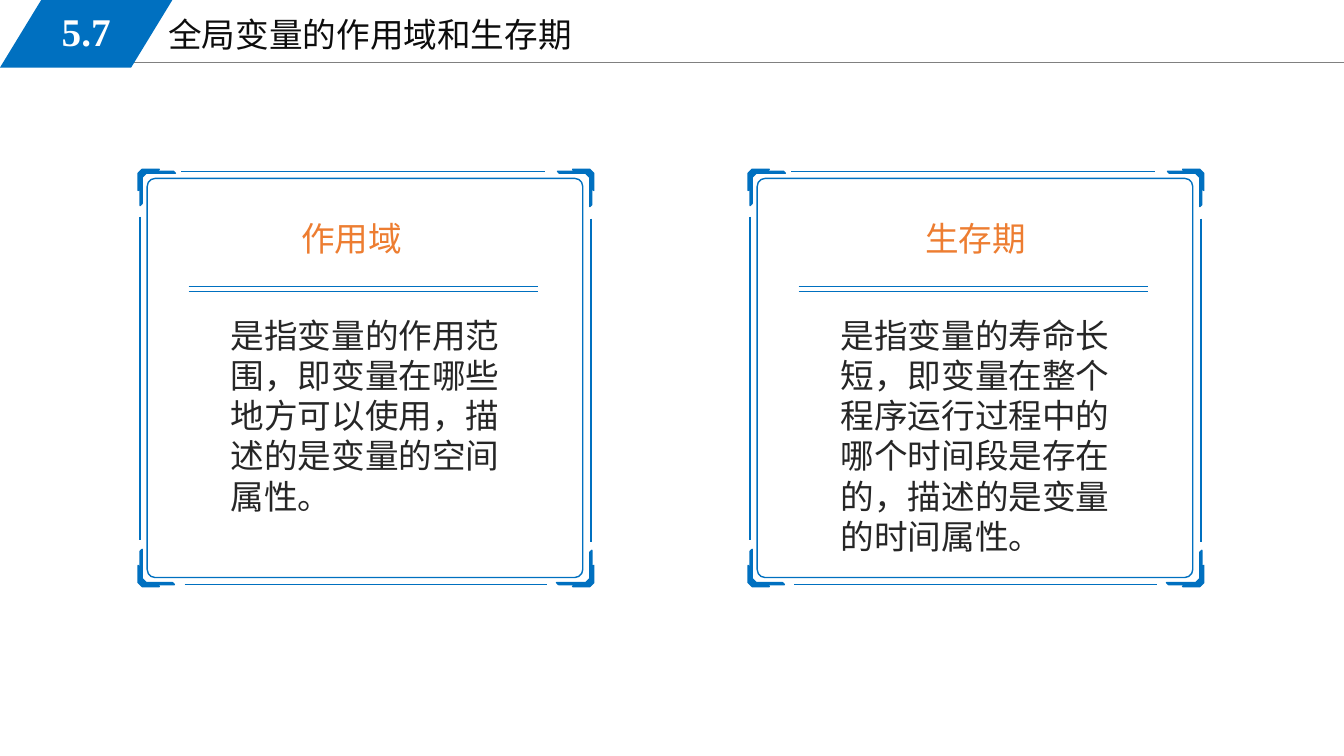
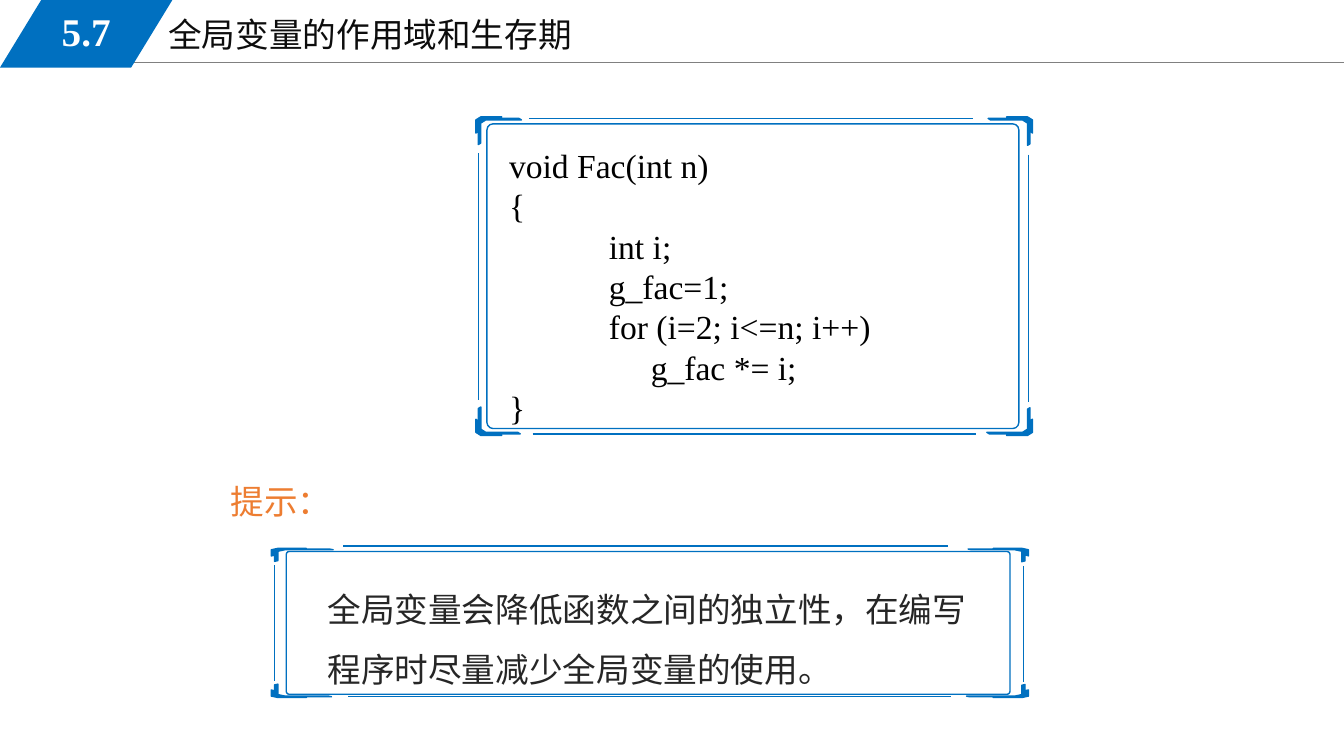
from lxml import etree
from pptx import Presentation
from pptx.dml.color import RGBColor
from pptx.enum.lang import MSO_LANGUAGE_ID
from pptx.enum.shapes import MSO_CONNECTOR, MSO_SHAPE
from pptx.enum.text import MSO_ANCHOR, MSO_AUTO_SIZE, PP_ALIGN
from pptx.oxml.ns import qn
from pptx.util import Emu, Pt

PX = 9144  # 100 px to the inch
FONT = "Times New Roman"
COLORS = {
    "blue": "0070C0", "orange": "ED7D31", "gray": "808080", "white": "FFFFFF",
    "title": "0D0D0D", "body": "262626", "code": "000000",
}

# Frame design grid; every frame is this one stretched to its own size
FRAME_W, FRAME_H = 452, 414
CORNER = [(4, 0), (11, 0), (21, 0), (18, 2), (35, 2), (37, 4), (8, 4),
          (4, 8), (4, 34), (2, 36), (2, 19), (0, 21), (0, 7), (0, 4)]

CODE = """void Fac(int n)
{
\t\tint i;
\t\tg_fac=1;
\t\tfor (i=2; i<=n; i++)
\t\t     g_fac *= i;
}"""


def px(n):
    return Emu(round(n * PX))


def rgb(name):
    return RGBColor.from_string(COLORS[name])


class Deck:
    def __init__(self, width, height):
        self.prs = Presentation()
        self.prs.slide_width, self.prs.slide_height = px(width), px(height)
        self.layout = self.prs.slide_layouts.get_by_name("Title Only")
        for ph in list(self.layout.placeholders)[1:]:
            ph.element.getparent().remove(ph.element)
        self.slide = None

    def new_slide(self, title):
        self.slide = self.prs.slides.add_slide(self.layout)
        sp = self.slide.shapes.title
        sp.left, sp.top, sp.width, sp.height = map(px, (156, 9, 567, 51))
        self.set_text(sp, title, "title", margins=(11, 5))

    def section_band(self, number, width):
        """Draw the header band and hand it to the layout all slides use."""
        shapes = self.slide.shapes
        rule = self.line(shapes, 113, 62, width, 62, "gray", 0.75)
        band = shapes.add_shape(MSO_SHAPE.PARALLELOGRAM, 0, 0, px(171), px(67))
        band.adjustments[0] = 0.61
        self.paint(band, fill="blue")
        label = self.text(25, 2, 121, 58, number, "white", size=28, bold=True,
                          align=PP_ALIGN.CENTER, anchor=MSO_ANCHOR.MIDDLE, margins=(11, 5))
        for sp in (rule, band, label):
            self.layout.shapes.element.append(sp.element)

    def paint(self, sp, fill=None, line=None):
        sp.shadow.inherit = False
        if fill:
            sp.fill.solid()
            sp.fill.fore_color.rgb = rgb(fill)
        else:
            sp.fill.background()
        if line:
            sp.line.color.rgb = rgb(line)
            sp.line.width = Pt(1)
        else:
            sp.line.fill.background()

    def line(self, shapes, x1, y1, x2, y2, color="blue", weight=1):
        c = shapes.add_connector(MSO_CONNECTOR.STRAIGHT, px(x1), px(y1), px(x2), px(y2))
        c.line.color.rgb = rgb(color)
        c.line.width = Pt(weight)
        etree.SubElement(c.element.spPr, qn("a:effectLst"))
        return c

    def set_text(self, sp, text, color, size=24, bold=False, align=PP_ALIGN.LEFT,
                 anchor=MSO_ANCHOR.TOP, margins=(10, 5), spacing=None, indent=0):
        tf = sp.text_frame
        tf.text = text
        tf.word_wrap = True
        tf.auto_size = MSO_AUTO_SIZE.NONE
        tf.vertical_anchor = anchor
        tf.margin_left = tf.margin_right = px(margins[0])
        tf.margin_top = tf.margin_bottom = px(margins[1])
        for p in tf.paragraphs:
            p.alignment = align
            if spacing:
                p.line_spacing = spacing
            if indent:
                pPr = p._p.get_or_add_pPr()
                pPr.set("marL", "0")
                pPr.set("indent", str(px(indent)))
            for r in p.runs:
                r.font.name, r.font.size, r.font.bold = FONT, Pt(size), bold
                r.font.color.rgb = rgb(color)
                r.font.language_id = MSO_LANGUAGE_ID.SIMPLIFIED_CHINESE

    def text(self, x, y, w, h, text, color, **style):
        sp = self.slide.shapes.add_textbox(px(x), px(y), px(w), px(h))
        self.set_text(sp, text, color, **style)
        return sp

    def frame(self, x, y, w, h, top=2):
        """Rounded box with four corner marks and four edge lines."""
        shapes = self.slide.shapes.add_group_shape().shapes

        def at(u, v):
            return x + u * w / FRAME_W, y + v * h / FRAME_H

        # Inner box
        box = shapes.add_shape(MSO_SHAPE.ROUNDED_RECTANGLE, *map(px, at(9, 9)),
                               px(432 * w / FRAME_W), px(396 * h / FRAME_H))
        box.adjustments[0] = 0.02
        self.paint(box, line="blue")

        # Corner marks, mirrored; two of them have their axes swapped
        for right in (False, True):
            for bottom in (False, True):
                pts = []
                for u, v in CORNER:
                    if right != bottom:
                        u, v = v, u
                    u = FRAME_W - u if right else u
                    v = FRAME_H - v if bottom else v
                    pts.append(tuple(map(px, at(u, v))))
                fb = shapes.build_freeform(*pts[0])
                fb.add_line_segments(pts[1:], close=True)
                self.paint(fb.convert_to_shape(), fill="blue", line="blue")

        # Edge lines
        for start, end in (((43, top), (404, top)), ((46, 412), (406, 412)),
                           ((2, 47), (2, 368)), ((449, 49), (449, 370))):
            self.line(shapes, *at(*start), *at(*end))

    def card(self, x, heading_x, heading, body):
        self.frame(x, 168, FRAME_W, FRAME_H)
        self.text(heading_x, 211, 303, 50, heading, "orange")
        for y in (284, 289):
            self.line(self.slide.shapes, x + 50, y, x + 397, y)
        self.text(x + 82, 307, 300, 252, body, "body")


def main():
    width = 1333
    title = "全局变量的作用域和生存期"
    deck = Deck(width, 750)

    # Scope and lifetime cards
    deck.new_slide(title)
    deck.section_band("5.7", width)
    deck.card(137, 289, "作用域",
              "是指变量的作用范围，即变量在哪些地方可以使用，描述的是变量的空间属性。")
    deck.card(742, 908, "生存期",
              "是指变量的寿命长短，即变量在整个程序运行过程中的哪个时间段是存在的，描述的是变量的时间属性。")

    # Code sample and hint
    deck.new_slide(title)
    deck.frame(472, 116, 552, 316)
    deck.text(444, 139, 661, 293, CODE, "code", indent=51)
    deck.text(219, 472, 610, 50, "提示：", "orange")
    deck.frame(269, 544, 751, 148, top=-6)
    deck.text(315, 559, 658, 163,
              "全局变量会降低函数之间的独立性，在编写程序时尽量减少全局变量的使用。",
              "body", spacing=1.5)

    deck.prs.save("out.pptx")


if __name__ == "__main__":
    main()
